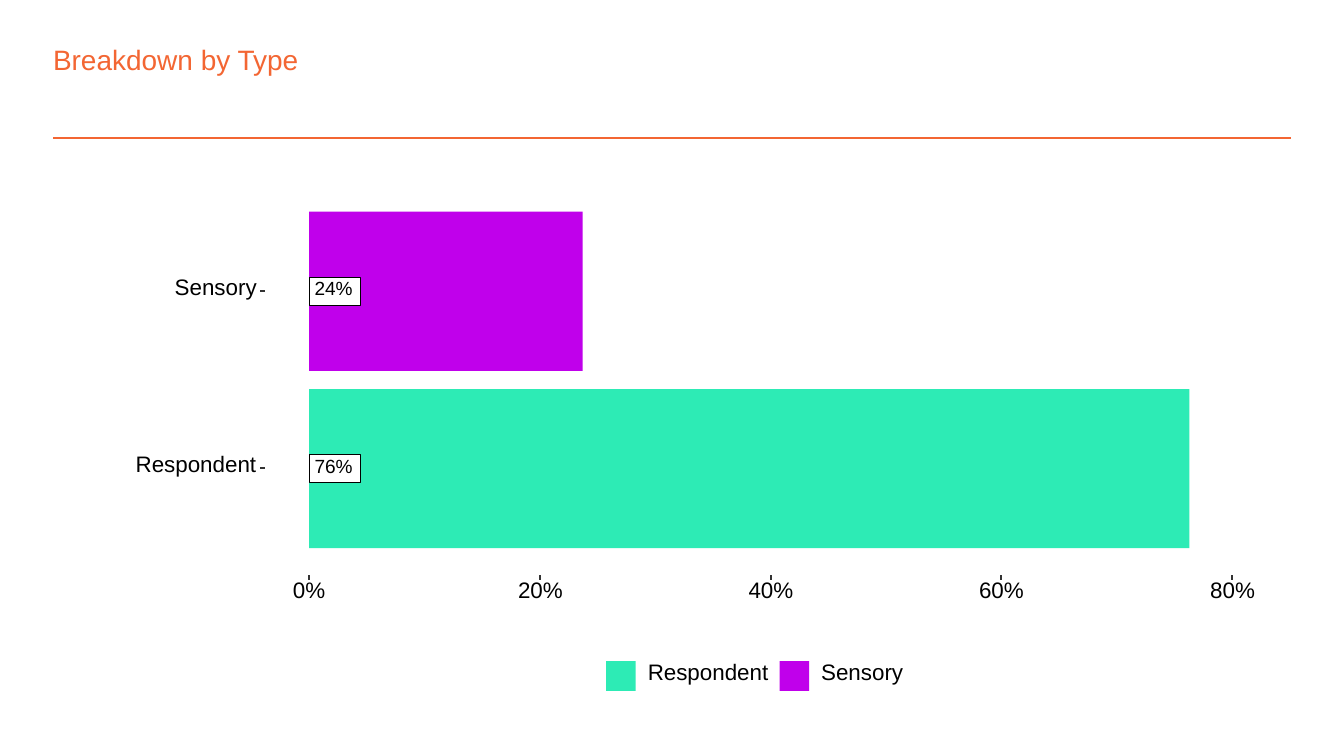
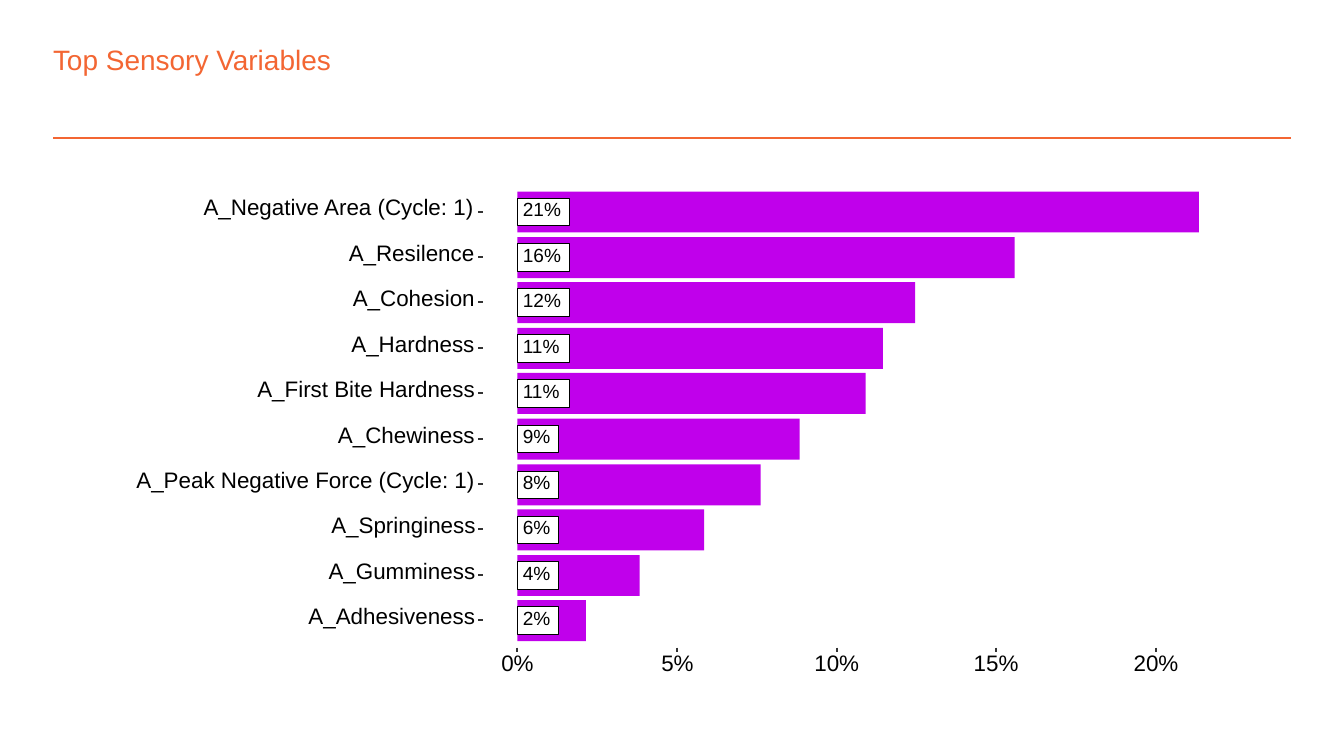
import dataclasses
import typing

import pptx
import pptx.dml.color
import pptx.enum.shapes
import pptx.enum.text
import pptx.oxml
import pptx.oxml.ns
import pptx.util

EMU_PER_PX = 914400 // 200  # 200 px to the inch


@dataclasses.dataclass(frozen=True)
class Theme:
    accent: str = "F36633"
    paper: str = "FFFFFF"
    ink: str = "000000"
    tick: str = "333333"
    respondent: str = "2DEBB5"
    sensory: str = "C000EB"
    font: str = "Arial"
    title_size: float = 15
    label_size: float = 12
    badge_size: float = 10.2
    rule_width: float = 1
    frame_width: float = 1.07
    badge_line: float = 0.53


THEME = Theme()


class Box(typing.NamedTuple):
    left: int
    top: int
    width: int
    height: int


class Bar(typing.NamedTuple):
    name: str
    value: float
    name_width: int
    color: str = THEME.sensory


@dataclasses.dataclass(frozen=True)
class BarPlot:
    title: str
    bars: tuple[Bar, ...]
    panel_left: int
    zero: int
    first_center: int
    pitch: float
    bar_height: int
    axis_top: int
    axis_step: int
    axis_max: int
    axis_length: int
    legend: tuple[Bar, ...] = ()


# Layout shared by both slides
PAGE_WIDTH, PAGE_HEIGHT = 2000, 1125
TITLE_BOX = Box(79, 63, 1658, 50)
RULE_LEFT, RULE_RIGHT, RULE_TOP = 79, 1921, 205
PLOT_FRAME = Box(150, 260, 1700, 800)
TICK_LENGTH = 7
NAME_GAP, NAME_HEIGHT, NAME_RISE = 5, 31, 4
TEXT_SLACK = 5  # keeps a label on one line
BADGE_HEIGHT, BADGE_PAD = 41, 8
BADGE_WIDTHS = {2: 61, 3: 77}  # by number of characters
BADGE_TEXT_WIDTHS = {2: 42, 3: 56}
AXIS_TEXT_WIDTHS = {2: 48, 3: 67}
LEGEND_FRAME = Box(870, 966, 490, 78)
LEGEND_KEY, LEGEND_PAD = 48, 30
LEGEND_TEXT_OFFSET, LEGEND_GAP = 64, 14

RESPONDENT = Bar("Respondent", 76.3, 180, THEME.respondent)
SENSORY = Bar("Sensory", 23.7, 122)

PLOTS = (
    BarPlot(
        title="Breakdown by Type",
        bars=(SENSORY, RESPONDENT),
        panel_left=394,
        zero=460,
        first_center=433,
        pitch=264,
        bar_height=237,
        axis_top=856,
        axis_step=20,
        axis_max=80,
        axis_length=1374,
        legend=(RESPONDENT, SENSORY),
    ),
    BarPlot(
        title="Top Sensory Variables",
        bars=(
            Bar("A_Negative Area (Cycle: 1)", 21.35, 404),
            Bar("A_Resilence", 15.58, 188),
            Bar("A_Cohesion", 12.46, 182),
            Bar("A_Hardness", 11.45, 184),
            Bar("A_First Bite Hardness", 10.9, 324),
            Bar("A_Chewiness", 8.84, 204),
            Bar("A_Peak Negative Force (Cycle: 1)", 7.62, 504),
            Bar("A_Springiness", 5.85, 214),
            Bar("A_Gumminess", 3.83, 218),
            Bar("A_Adhesiveness", 2.15, 248),
        ),
        panel_left=719,
        zero=770,
        first_center=315,
        pitch=67.6,
        bar_height=61,
        axis_top=964,
        axis_step=5,
        axis_max=20,
        axis_length=950,
    ),
)


# Drawing helpers
def px(length: int) -> int:
    return pptx.util.Emu(length * EMU_PER_PX)


def rgb(color: str) -> pptx.dml.color.RGBColor:
    return pptx.dml.color.RGBColor.from_string(color)


def add_rect(page, box: Box, fill: str, line: str = "", line_width: float = 0) -> None:
    shape = page.shapes.add_shape(
        pptx.enum.shapes.MSO_SHAPE.RECTANGLE, *map(px, box))
    shape.shadow.inherit = False
    shape.fill.solid()
    shape.fill.fore_color.rgb = rgb(fill)
    if line:
        shape.line.color.rgb = rgb(line)
        shape.line.width = pptx.util.Pt(line_width)
    else:
        shape.line.fill.background()


def add_line(page, start: tuple[int, int], end: tuple[int, int],
             color: str = THEME.tick, width: float = THEME.frame_width) -> None:
    line = page.shapes.add_connector(
        pptx.enum.shapes.MSO_CONNECTOR.STRAIGHT, *map(px, start + end))
    line.line.color.rgb = rgb(color)
    line.line.width = pptx.util.Pt(width)
    properties = line._element.spPr
    properties.append(properties.makeelement(pptx.oxml.ns.qn("a:effectLst"), {}))


def add_text(page, text: str, box: Box, *, size: float = THEME.label_size,
             color: str = THEME.ink, heading: bool = False) -> None:
    roomy = box._replace(width=box.width + TEXT_SLACK)
    frame = page.shapes.add_textbox(*map(px, roomy)).text_frame
    frame.margin_left = frame.margin_right = 0
    frame.margin_top = frame.margin_bottom = 0
    frame.word_wrap = heading
    para = frame.paragraphs[0]
    if heading:
        frame.auto_size = pptx.enum.text.MSO_AUTO_SIZE.SHAPE_TO_FIT_TEXT
    else:
        frame.vertical_anchor = pptx.enum.text.MSO_ANCHOR.MIDDLE
        para.line_spacing = pptx.util.Pt(size)
    span = para.add_run()
    span.text = text
    span.font.name = THEME.font
    span.font.size = pptx.util.Pt(size)
    span.font.color.rgb = rgb(color)


def add_name(page, bar: Bar, left: int, center: int) -> None:
    top = center - NAME_RISE - NAME_HEIGHT // 2
    add_text(page, bar.name, Box(left, top, bar.name_width, NAME_HEIGHT))


# Parts of a plot
def add_heading(page, title: str) -> None:
    add_line(page, (RULE_LEFT, RULE_TOP), (RULE_RIGHT, RULE_TOP),
             THEME.accent, THEME.rule_width)
    add_text(page, title, TITLE_BOX, size=THEME.title_size,
             color=THEME.accent, heading=True)


def add_bar(page, plot: BarPlot, bar: Bar, center: int) -> None:
    width = round(bar.value * plot.axis_length / plot.axis_max)
    add_rect(page, Box(plot.zero, center - plot.bar_height // 2,
                       width, plot.bar_height), bar.color)

    # Value badge at the foot of the bar
    value = f"{bar.value:.0f}%"
    add_rect(page, Box(plot.zero, center - BADGE_HEIGHT // 2,
                       BADGE_WIDTHS[len(value)], BADGE_HEIGHT),
             THEME.paper, THEME.ink, THEME.badge_line)
    add_text(page, value, Box(plot.zero + BADGE_PAD, center - 12,
                              BADGE_TEXT_WIDTHS[len(value)], 22),
             size=THEME.badge_size)

    # Category name and tick
    tick_left = plot.panel_left - TICK_LENGTH
    add_name(page, bar, tick_left - NAME_GAP - bar.name_width, center)
    add_line(page, (tick_left, center), (plot.panel_left, center))


def add_axis(page, plot: BarPlot) -> None:
    for value in range(0, plot.axis_max + 1, plot.axis_step):
        left = plot.zero + round(value * plot.axis_length / plot.axis_max)
        add_line(page, (left, plot.axis_top), (left, plot.axis_top + TICK_LENGTH))
        text = f"{value}%"
        width = AXIS_TEXT_WIDTHS[len(text)]
        add_text(page, text, Box(left - width // 2, plot.axis_top + 12, width, 26))


def add_legend(page, entries: tuple[Bar, ...]) -> None:
    add_rect(page, LEGEND_FRAME, THEME.paper, THEME.paper, THEME.frame_width)
    left = LEGEND_FRAME.left + LEGEND_PAD
    top = LEGEND_FRAME.top + 16
    for entry in entries:
        add_rect(page, Box(left, top, LEGEND_KEY, LEGEND_KEY),
                 THEME.paper, THEME.paper, THEME.frame_width)
        add_rect(page, Box(left + 2, top + 2, LEGEND_KEY - 4, LEGEND_KEY - 4),
                 entry.color)
        add_name(page, entry, left + LEGEND_TEXT_OFFSET, top + LEGEND_KEY // 2)
        left += LEGEND_TEXT_OFFSET + entry.name_width + LEGEND_GAP


def add_plot_page(deck, plot: BarPlot) -> None:
    page = deck.slides.add_slide(deck.slide_layouts[6])
    add_heading(page, plot.title)
    add_rect(page, PLOT_FRAME, THEME.paper, THEME.paper, THEME.frame_width)
    for row, bar in enumerate(plot.bars):
        add_bar(page, plot, bar, plot.first_center + round(row * plot.pitch))
    add_axis(page, plot)
    if plot.legend:
        add_legend(page, plot.legend)


def main() -> None:
    deck = pptx.Presentation()
    deck.slide_width = px(PAGE_WIDTH)
    deck.slide_height = px(PAGE_HEIGHT)
    for plot in PLOTS:
        add_plot_page(deck, plot)
    deck.save("out.pptx")


if __name__ == "__main__":
    main()
